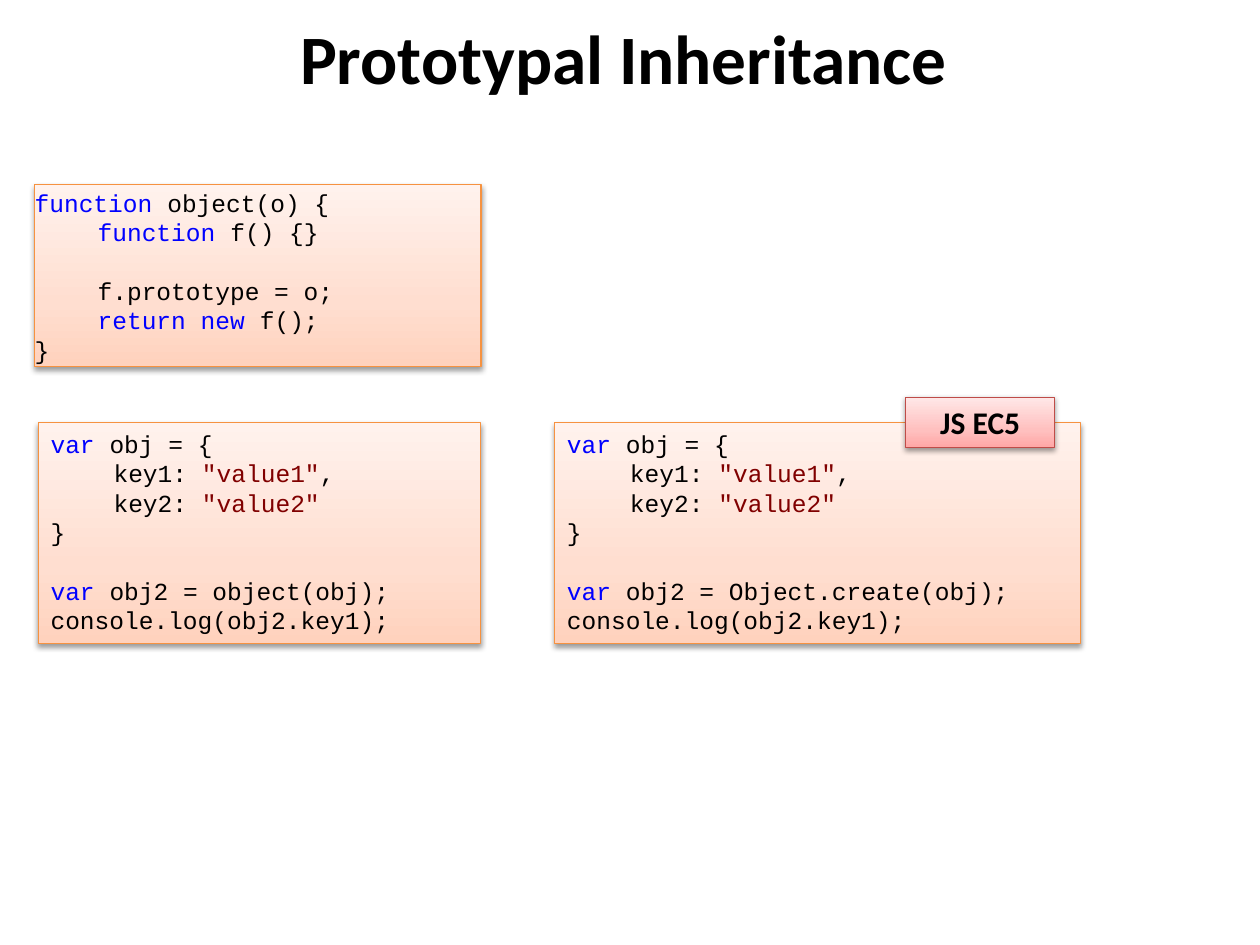
from copy import deepcopy

from lxml.etree import SubElement
from pptx import Presentation
from pptx.dml.color import RGBColor
from pptx.enum.shapes import MSO_SHAPE
from pptx.enum.text import MSO_ANCHOR, MSO_AUTO_SIZE, PP_ALIGN
from pptx.oxml.ns import qn
from pptx.util import Cm, Pt

COLORS = {
    "text": "000000",
    "keyword": "0000FF",
    "string": "800000",
    "code_line": "F69240",
    "badge_line": "BF4C48",
}
# Gradient stops from the bottom edge to the top edge
GRADIENTS = {
    "code": ("FFD2BD", "FFDED0", "FFF2ED"),
    "badge": ("FFA6A5", "FFC0BF", "FFE7E7"),
}
STOP_POSITIONS = (0, 0.35, 1)
CODE_SIZE = 14
CODE_LINE = 1.2 * CODE_SIZE  # height of one line of code


def add_run(p, text, font="Calibri", size=18, color="text", bold=False):
    r = p.add_run()
    r.text = text
    r.font.name = font
    r.font.size = Pt(size)
    r.font.bold = bold
    r.font.color.rgb = RGBColor.from_string(COLORS[color])


def line(*parts, indent=0, gap=0):
    """One line of code: plain strings or (text, color) pairs."""
    runs = [(part, "text") if isinstance(part, str) else part for part in parts]
    return runs, indent, gap


def keyword(text):
    return text, "keyword"


def object_demo(create_call):
    return [
        line(keyword("var "), "obj = {"),
        line("key1: ", ('"value1"', "string"), ",", indent=1),
        line("key2: ", ('"value2"', "string"), indent=1),
        line("}"),
        line(keyword("var"), f" obj2 = {create_call}(obj);", gap=1),
        line("console.log(obj2.key1);"),
    ]


class SlideBuilder:
    def __init__(self, slide):
        self.shapes = slide.shapes

    def title(self, text, x, y, w, h):
        tf = self.shapes.add_textbox(Cm(x), Cm(y), Cm(w), Cm(h)).text_frame
        tf.word_wrap = True
        tf.vertical_anchor = MSO_ANCHOR.MIDDLE
        p = tf.paragraphs[0]
        p.alignment = PP_ALIGN.CENTER
        add_run(p, text, size=39.6, bold=True)

    def panel(self, x, y, w, h, kind):
        """Gradient rectangle with a soft shadow; returns its text frame."""
        sp = self.shapes.add_shape(MSO_SHAPE.RECTANGLE, Cm(x), Cm(y), Cm(w), Cm(h))
        sp.line.color.rgb = RGBColor.from_string(COLORS[f"{kind}_line"])
        sp.line.width = Pt(0.75)

        sp.fill.gradient()
        sp.fill.gradient_angle = 90
        spPr = sp._element.spPr
        stops = spPr.find(f".//{qn('a:gsLst')}")
        stops.append(deepcopy(stops[0]))
        for stop, pos, color in zip(sp.fill.gradient_stops, STOP_POSITIONS, GRADIENTS[kind]):
            stop.position = pos
            stop.color.rgb = RGBColor.from_string(color)

        sp.shadow.inherit = False
        shadow = SubElement(spPr.find(qn("a:effectLst")), qn("a:outerShdw"),
                            blurRad="40000", dist="20000", dir="5400000", rotWithShape="0")
        color = SubElement(shadow, qn("a:srgbClr"), val=COLORS["text"])
        SubElement(color, qn("a:alpha"), val="38000")

        tf = sp.text_frame
        tf.word_wrap = True
        tf.auto_size = MSO_AUTO_SIZE.SHAPE_TO_FIT_TEXT
        tf.vertical_anchor = MSO_ANCHOR.TOP
        return tf

    def code(self, lines, x, y, w, h):
        tf = self.panel(x, y, w, h, "code")
        for i, (runs, indent, gap) in enumerate(lines):
            p = tf.add_paragraph() if i else tf.paragraphs[0]
            p.alignment = PP_ALIGN.LEFT
            p.level = indent
            p._p.get_or_add_pPr().set("marL", str(Cm(1.27 * indent)))
            p.space_before = Pt(CODE_LINE * gap)
            for text, color in runs:
                add_run(p, text, font="Courier New", size=CODE_SIZE, color=color)
        return tf

    def badge(self, text, x, y, w, h):
        p = self.panel(x, y, w, h, "badge").paragraphs[0]
        p.alignment = PP_ALIGN.CENTER
        add_run(p, text, bold=True)


def main():
    prs = Presentation()
    prs.slide_width, prs.slide_height = Cm(25.4), Cm(19.05)
    s = SlideBuilder(prs.slides.add_slide(prs.slide_layouts[6]))

    s.title("Prototypal Inheritance", 1.78, 0.41, 21.59, 1.47)

    # Helper function
    tf = s.code([
        line(keyword("function"), " object(o) {"),
        line(keyword("function "), "f() {}", indent=1),
        line("f.prototype = o;", indent=1, gap=1),
        line(keyword("return new "), "f();", indent=1),
        line("}"),
    ], 0.7, 3.72, 9, 3.67)
    tf.vertical_anchor = MSO_ANCHOR.MIDDLE
    tf.margin_left = tf.margin_right = 0
    tf.margin_top, tf.margin_bottom = Cm(0.05), Cm(0.03)

    # Both ways to create the object
    s.code(object_demo("object"), 0.77, 8.52, 8.92, 4.45)
    s.code(object_demo("Object.create"), 11.18, 8.52, 10.6, 4.45)
    s.badge("JS EC5", 18.26, 8.01, 3, 1.02)

    prs.save("out.pptx")


if __name__ == "__main__":
    main()
